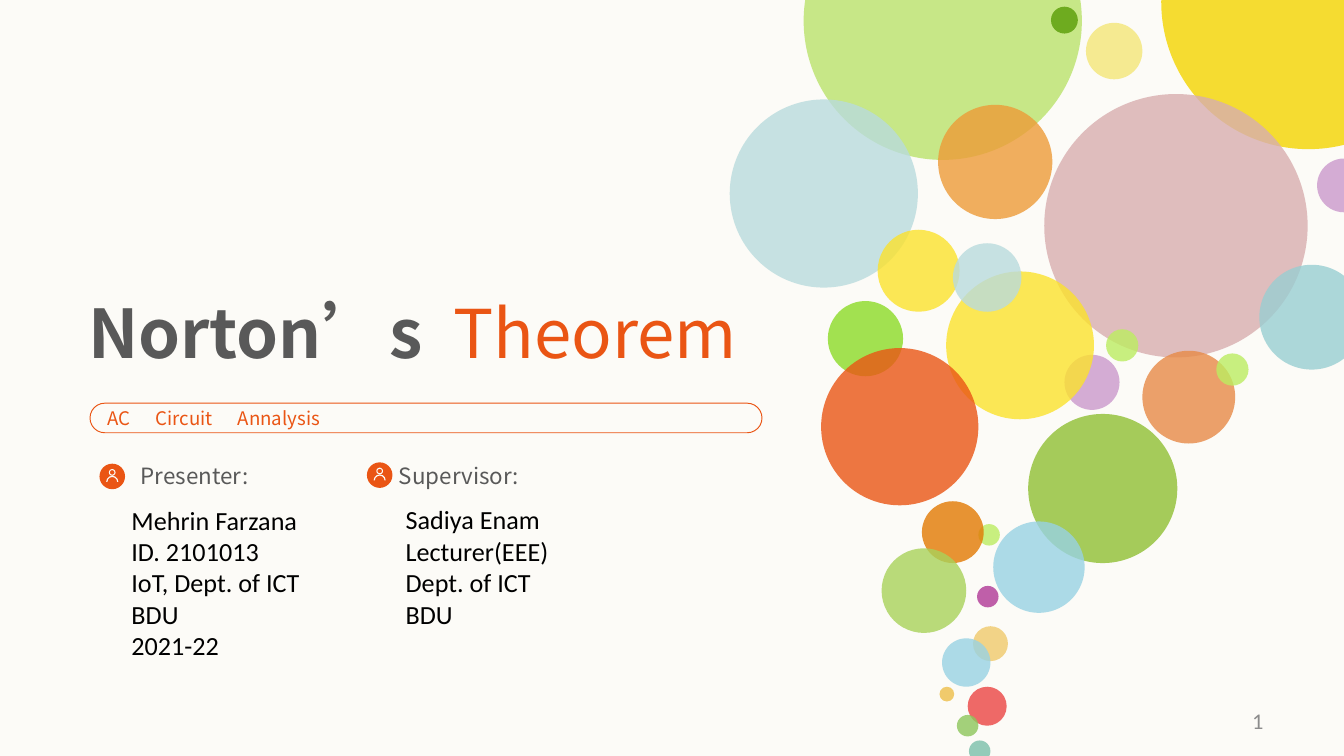
"""Builds the title slide of a talk on Norton's theorem."""
from lxml.etree import SubElement
from pptx import Presentation
from pptx.dml.color import RGBColor
from pptx.enum.shapes import MSO_SHAPE as Shape
from pptx.enum.text import MSO_ANCHOR as Anchor, PP_ALIGN as Align
from pptx.oxml.ns import qn
from pptx.util import Inches, Pt

SANS = "Noto Sans CJK SC"
BODY = "Calibri"
COLORS = {
    "paper": "FCFBF7", "gray": "595959", "black": "000000", "pale": "8C8C8C",
    "flame": "EA5514", "lime": "BAE36B", "leaf": "6EAB1F", "mist": "B9DBDD",
    "amber": "ED9B38", "cream": "F5EA91", "gold": "F4D500", "rose": "D8AEAF",
    "teal": "99CED2", "lilac": "CB99CC", "peach": "E78A47", "moss": "A5CB5A",
    "mint": "BCED61", "lemon": "FBE22D", "green": "8CDB27", "plum": "B03896",
    "sand": "F0CA6C", "jade": "7BBFAA", "red": "EB4544", "grass": "8DC65B",
    "sky": "98D2E3", "rust": "E27902", "sage": "A9D25A",
}
SOLID = 100
CLEAR = 80
BUBBLES = [
    (5.98, -0.88, 2.07, "lime", CLEAR), (7.82, 0.05, 0.2, "leaf", SOLID),
    (5.43, 0.74, 1.4, "mist", CLEAR), (6.98, 0.78, 0.85, "amber", CLEAR),
    (8.08, 0.17, 0.42, "cream", SOLID), (8.64, -1.08, 2.19, "gold", CLEAR),
    (7.77, 0.7, 1.96, "rose", CLEAR), (9.37, 1.97, 0.78, "teal", CLEAR),
    (9.8, 1.18, 0.4, "lilac", CLEAR), (8.5, 2.61, 0.69, "peach", CLEAR),
    (7.65, 3.08, 1.11, "moss", SOLID), (9.05, 2.63, 0.24, "mint", CLEAR),
    (8.23, 2.45, 0.24, "mint", CLEAR), (7.92, 2.64, 0.41, "lilac", CLEAR),
    (7.04, 2.02, 1.1, "lemon", CLEAR), (6.53, 1.71, 0.61, "lemon", CLEAR),
    (6.16, 2.24, 0.56, "green", CLEAR), (7.28, 3.9, 0.16, "mint", CLEAR),
    (7.27, 4.36, 0.16, "plum", CLEAR), (7.24, 4.66, 0.26, "sand", CLEAR),
    (6.99, 5.11, 0.11, "sand", SOLID), (7.21, 5.51, 0.16, "jade", CLEAR),
    (7.2, 5.11, 0.29, "red", CLEAR), (7.12, 5.32, 0.16, "grass", CLEAR),
    (7.01, 4.75, 0.36, "sky", CLEAR), (7.09, 1.81, 0.51, "mist", CLEAR),
    (7.39, 3.88, 0.68, "sky", CLEAR), (6.86, 3.73, 0.46, "rust", CLEAR),
    (6.56, 4.08, 0.63, "sage", CLEAR), (6.11, 2.59, 1.17, "flame", CLEAR),
]


def rgb(name):
    """Return a named colour."""
    return RGBColor.from_string(COLORS[name])


def add_round(shapes, kind, x, y, size, color, alpha=SOLID):
    """Add a plain filled shape in a square box."""
    shape = shapes.add_shape(kind, *map(Inches, (x, y, size, size)))
    shape.shadow.inherit = False
    shape.fill.solid()
    shape.fill.fore_color.rgb = rgb(color)
    shape.line.fill.background()
    if alpha < SOLID:
        tint = shape.fill._xPr.find(".//" + qn("a:srgbClr"))
        SubElement(tint, qn("a:alpha"), val=str(alpha * 1000))
    return shape


def style(para, size, face, color):
    """Set the font of a paragraph."""
    font = para.font
    font.size, font.name = Pt(size), face
    font.color.rgb = rgb(color)


def add_text(slide, box, lines, size, face, color, align=Align.LEFT, anchor=Anchor.TOP):
    """Add a text box with one paragraph per line."""
    frame = slide.shapes.add_textbox(*map(Inches, box)).text_frame
    frame.word_wrap = True
    frame.vertical_anchor = anchor
    frame.text = "\n".join(lines)
    for para in frame.paragraphs:
        para.alignment = align
        style(para, size, face, color)


def add_title(slide):
    """Add the two-tone title."""
    frame = slide.shapes.add_textbox(*map(Inches, (0.47, 2.12, 5.2, 0.71))).text_frame
    frame.word_wrap = True
    para = frame.paragraphs[0]
    para.alignment = Align.CENTER
    para.font.size, para.font.name = Pt(36), SANS
    for text, color, bold in (("Norton’s  ", "gray", True), ("Theorem", "flame", False)):
        run = para.add_run()
        run.text = text
        run.font.bold = bold
        run.font.color.rgb = rgb(color)


def add_pill(slide):
    """Add the outlined topic bar, its words set on tab stops."""
    pill = slide.shapes.add_shape(Shape.ROUNDED_RECTANGLE, *map(Inches, (0.67, 3, 5, 0.22)))
    pill.adjustments[0] = 0.5
    pill.shadow.inherit = False
    pill.fill.background()
    pill.line.color.rgb = rgb("flame")
    pill.line.width = Pt(0.5)
    frame = pill.text_frame
    frame.vertical_anchor = Anchor.MIDDLE
    frame.text = "AC\tCircuit\tAnnalysis"
    para = frame.paragraphs[0]
    para.alignment = Align.LEFT
    tabs = SubElement(para._p.get_or_add_pPr(), qn("a:tabLst"))
    for stop in (0.36, 0.97):
        SubElement(tabs, qn("a:tab"), pos=str(Inches(stop)), algn="l")
    style(para, 10, SANS, "flame")


def add_icon(slide, x, y):
    """Add a round badge with a person in it."""
    shapes = slide.shapes.add_group_shape().shapes
    add_round(shapes, Shape.OVAL, x, y, 0.19, "flame")
    head = add_round(shapes, Shape.DONUT, x + 0.07, y + 0.04, 0.05, "paper")
    head.adjustments[0] = 0.16
    body = add_round(shapes, Shape.BLOCK_ARC, x + 0.05, y + 0.09, 0.09, "paper")
    body.adjustments[2] = 0.1


def main():
    """Build and save the slide."""
    deck = Presentation()
    deck.slide_width = Inches(10)
    deck.slide_height = deck.slide_width * 9 // 16
    slide = deck.slides.add_slide(deck.slide_layouts[6])
    back = slide.background.fill
    back.solid()
    back.fore_color.rgb = rgb("paper")
    for x, y, size, color, alpha in BUBBLES:
        add_round(slide.shapes, Shape.OVAL, x, y, size, color, alpha)
    add_title(slide)
    add_pill(slide)
    people = [
        ("Presenter:", 0.74, 3.45, 0.95, 0.88, 1.28,
         ["Mehrin Farzana", "ID. 2101013", "IoT, Dept. of ICT", "BDU", "2021-22"]),
        ("Supervisor:", 2.73, 3.44, 2.87, 2.92, 1.04,
         ["Sadiya Enam", "Lecturer(EEE)", "Dept. of ICT", "BDU"]),
    ]
    for role, x, y, label, left, high, lines in people:
        add_icon(slide, x, y)
        add_text(slide, (label, 3.39, 1.2, 0.3), [role], 12, SANS, "gray")
        add_text(slide, (left, 3.7, 1.6, high), lines, 14, BODY, "black")
    add_text(slide, (7.17, 5.21, 2.33, 0.3), ["1"], 12, BODY, "pale",
             Align.RIGHT, Anchor.MIDDLE)
    deck.save("out.pptx")


if __name__ == "__main__":
    main()
